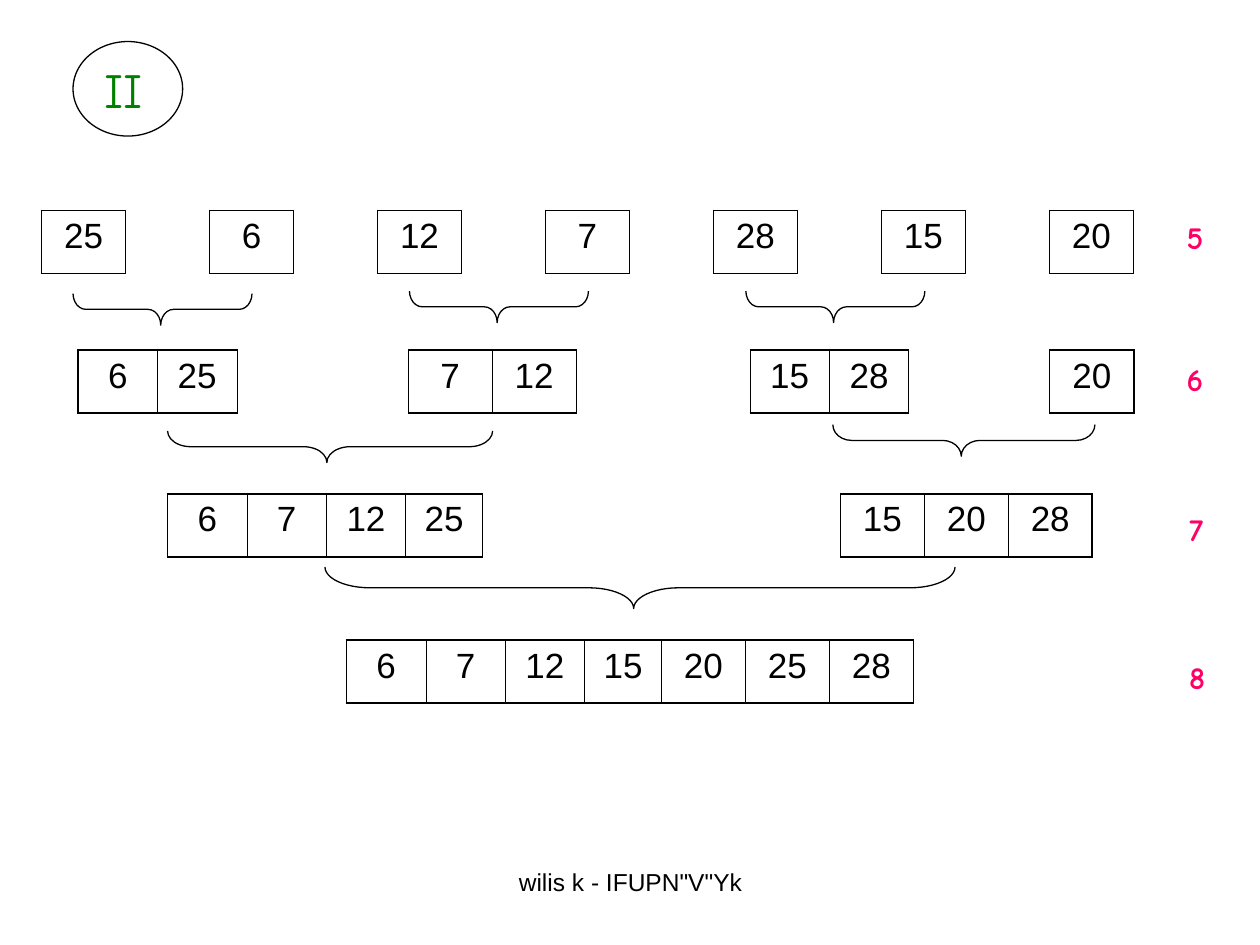
from lxml.etree import SubElement
from pptx import Presentation
from pptx.dml.color import RGBColor
from pptx.enum.shapes import MSO_SHAPE
from pptx.enum.text import PP_ALIGN
from pptx.oxml.ns import qn
from pptx.util import Inches, Pt

COLORS = {"ink": "000000", "mark": "008000", "step": "FF0066"}
THICK, THIN = 1.08, 0.45
CELL, ROW = 0.63, 0.5
WIDE = 8.67 / 13

# Each level: left, top, cells as (number, width); None is a gap
START = [25, None, 6, None, 12, None, 7, None, 28, None, 15, None, 20]
LEVELS = [
    (0.33, 1.67, [(n, WIDE) for n in START]),
    (0.62, 2.78, [(6, CELL), (25, CELL), (None, 0.78), (None, 0.58),
                  (7, WIDE), (12, WIDE)] + [(None, 0.46)] * 3
     + [(15, CELL), (28, CELL), (None, CELL), (None, 0.49), (20, WIDE)]),
    (1.33, 3.92, [(6, CELL), (7, CELL), (12, CELL), (25, 0.61), (None, 0.65),
                  (None, CELL), (None, CELL), (None, 0.51), (None, 0.42),
                  (15, WIDE), (20, WIDE), (28, WIDE)]),
    (2.75, 5.08, [(6, CELL), (7, CELL), (12, CELL), (15, 0.61),
                  (20, WIDE), (25, WIDE), (28, WIDE)]),
]

# Left, top, span and depth of each merge
BRACES = [
    (0.58, 2.33, 1.42, 0.25), (3.25, 2.31, 1.42, 0.25), (5.92, 2.31, 1.42, 0.25),
    (1.33, 3.42, 2.58, 0.25), (6.61, 3.37, 2.08, 0.25), (2.58, 4.5, 5, 0.33),
]

STEPS = [("5", 9.32, 1.68), ("6", 9.32, 2.81), ("7", 9.34, 4), ("8", 9.34, 5.17)]


def color(name):
    return RGBColor.from_string(COLORS[name])


def style(par, size, ink="ink", face="Arial", bold=False):
    font = par.font
    font.size, font.name, font.bold = Pt(size), face, bold
    font.color.rgb = color(ink)


def write(shapes, text, box, size, wrap=True, align=PP_ALIGN.LEFT, **look):
    frame = shapes.add_textbox(*map(Inches, box)).text_frame
    frame.word_wrap = wrap
    frame.text = text
    par = frame.paragraphs[0]
    par.alignment = align
    style(par, size, **look)


def outline(shape):
    shape.shadow.inherit = False
    shape.fill.background()
    shape.line.color.rgb = color("ink")
    shape.line.width = Pt(0.75)


def edge(cell, sides):
    """Draw the cell's borders; a width of 0 hides that side."""
    props = cell._tc.get_or_add_tcPr()
    for spot, (side, width) in enumerate(sides.items()):
        line = props.makeelement(qn("a:ln" + side), {"w": str(Pt(width))})
        props.insert(spot, line)
        if width:
            fill = SubElement(line, qn("a:solidFill"))
            SubElement(fill, qn("a:srgbClr"), val=COLORS["ink"])
        else:
            SubElement(line, qn("a:noFill"))


def add_level(shapes, left, top, cells):
    total = sum(width for _, width in cells)
    box = map(Inches, (left, top, total, ROW))
    table = shapes.add_table(1, len(cells), *box).table
    table.first_row = table.horz_banding = False
    table.rows[0].height = Inches(ROW)
    nums = [None] + [num for num, _ in cells] + [None]
    last = len(cells) - 1
    for col, (num, width) in enumerate(cells):
        table.columns[col].width = Inches(width)
        cell = table.cell(0, col)
        cell.fill.background()
        full = num is not None
        before, after = nums[col], nums[col + 2]
        edge(cell, {
            "L": THICK if col == 0 else THIN if full or before else 0,
            "R": THICK if col == last else THIN if full or after else 0,
            "T": THICK if full else 0,
            "B": THICK if full else 0,
        })
        if full:
            cell.text = str(num)
            par = cell.text_frame.paragraphs[0]
            par.alignment = PP_ALIGN.CENTER
            style(par, 20)


def add_brace(shapes, left, top, span, depth):
    """Turn a left brace so that its point looks down."""
    shift = (span - depth) / 2
    box = map(Inches, (left + shift, top - shift, depth, span))
    brace = shapes.add_shape(MSO_SHAPE.LEFT_BRACE, *box)
    brace.rotation = 270
    brace.adjustments[0] = span / 14 / depth
    brace.adjustments[1] = 0.49
    outline(brace)


def main():
    deck = Presentation()
    deck.slide_width, deck.slide_height = Inches(10), Inches(7.5)
    shapes = deck.slides.add_slide(deck.slide_layouts[6]).shapes

    write(shapes, 'wilis k - IFUPN"V"Yk', (3.42, 6.83, 3.17, 0.52), 14,
          align=PP_ALIGN.CENTER)
    badge = shapes.add_group_shape().shapes
    write(badge, "II", (0.73, 0.42, 0.72, 0.57), 28, ink="mark", face="Comic Neue")
    ring = map(Inches, (0.58, 0.33, 0.87, 0.75))
    outline(badge.add_shape(MSO_SHAPE.OVAL, *ring))

    for level in LEVELS:
        add_level(shapes, *level)
    for brace in BRACES:
        add_brace(shapes, *brace)
    for text, left, top in STEPS:
        write(shapes, text, (left, top, 0.33, 0.4), 18, wrap=False,
              ink="step", face="Comic Neue", bold=True)
    deck.save("out.pptx")


if __name__ == "__main__":
    main()
